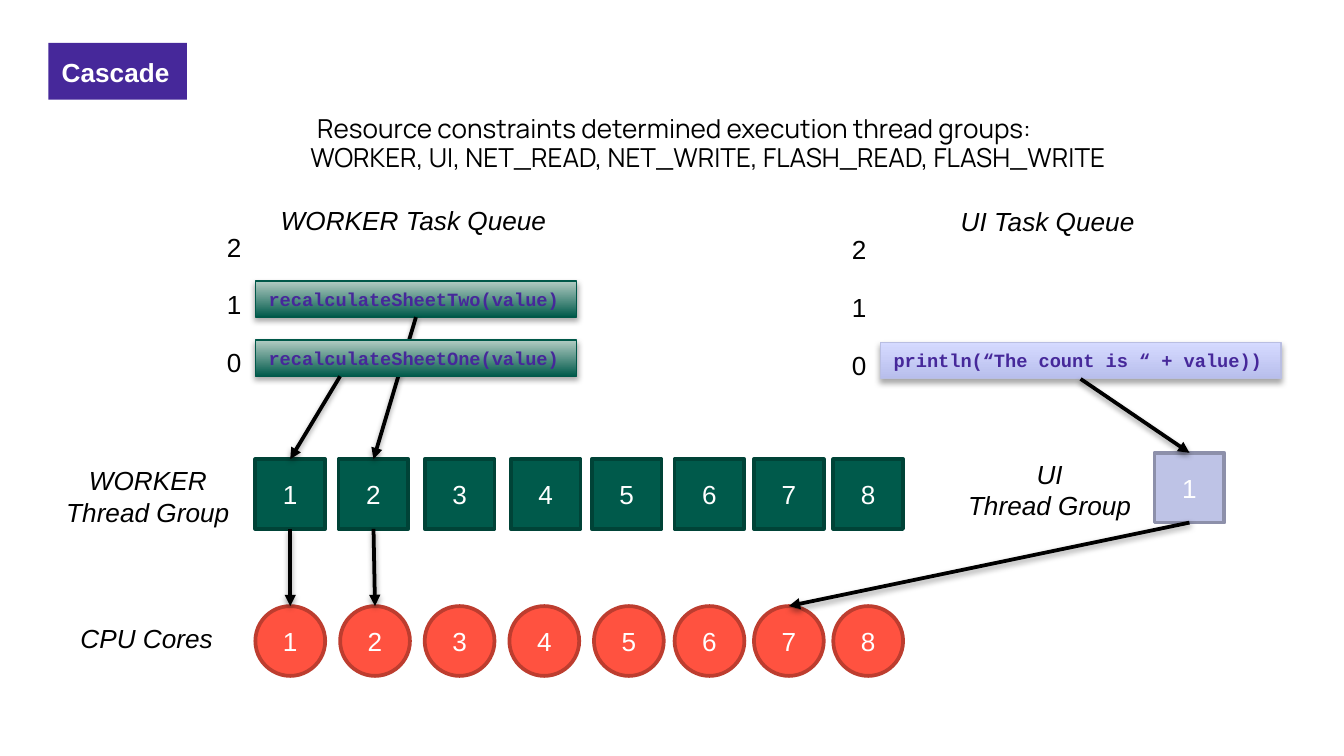
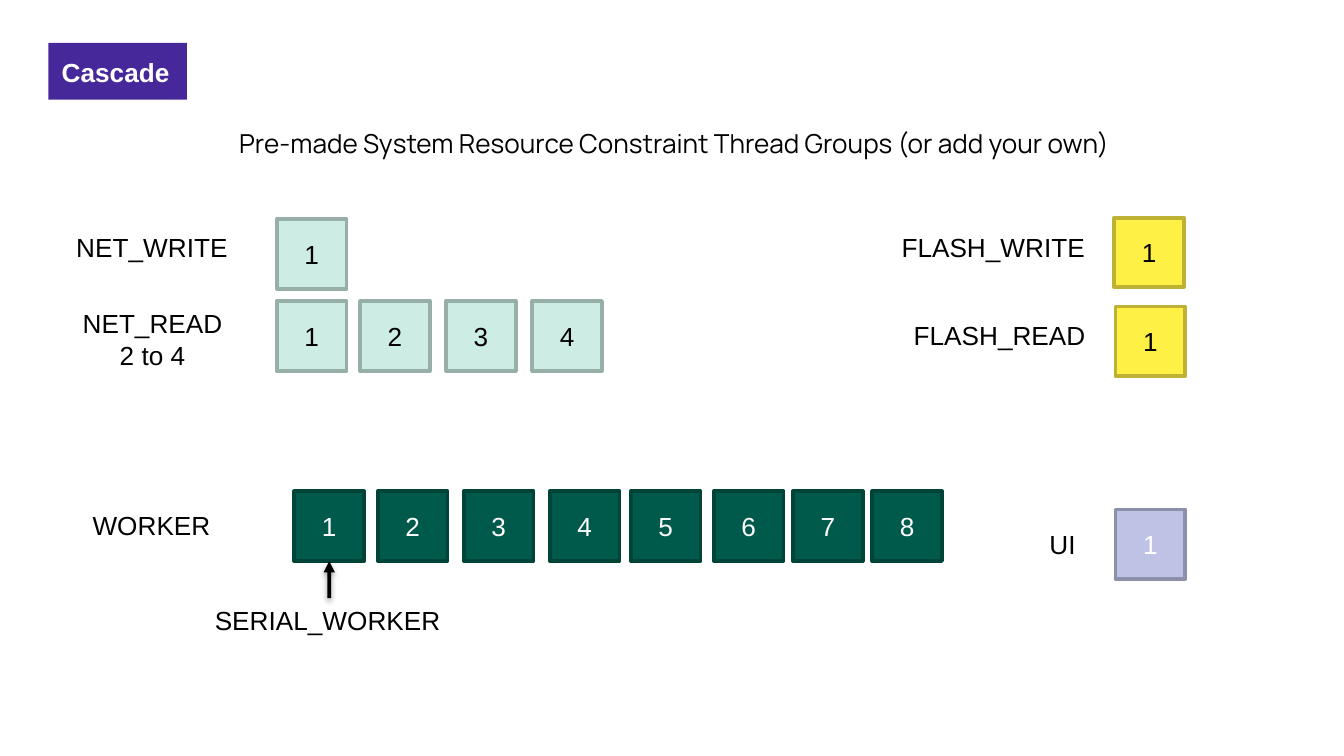
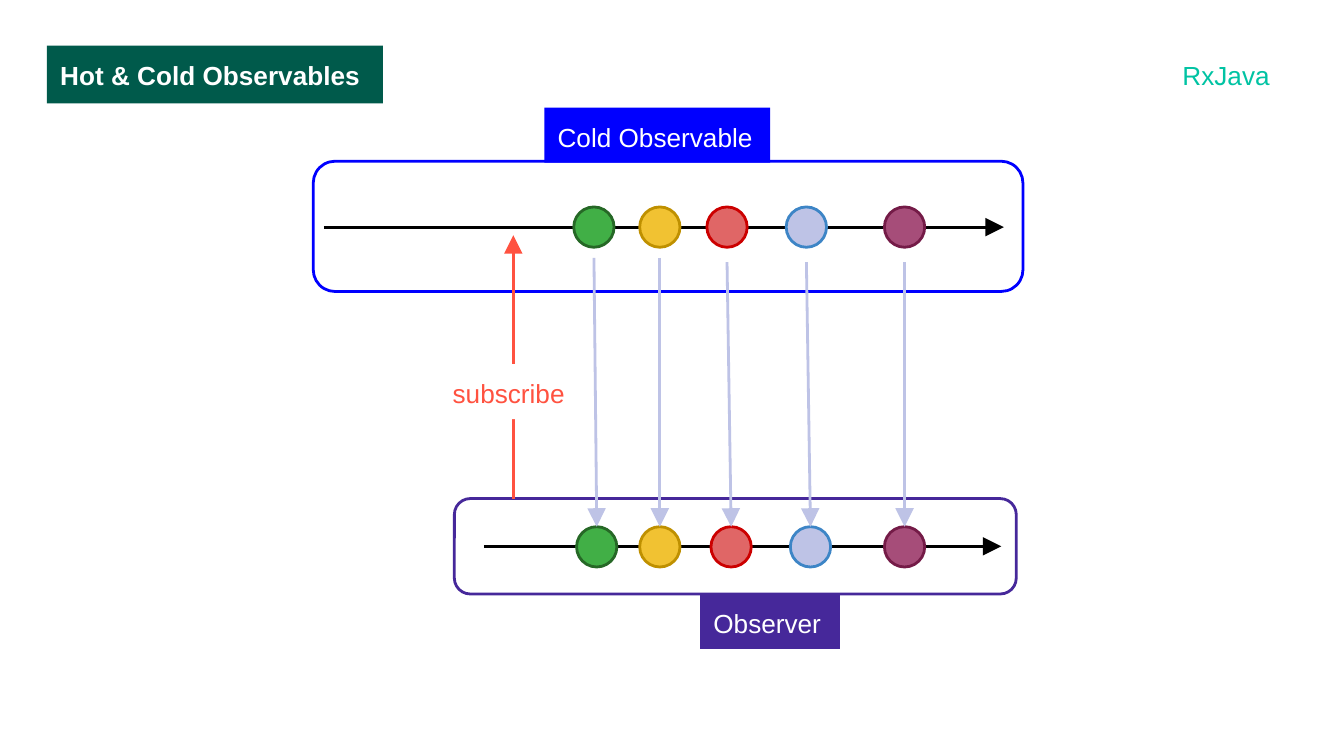
"""Build three slides on thread groups and on cold observables."""
from copy import deepcopy

from lxml.etree import SubElement
from pptx import Presentation
from pptx.dml.color import RGBColor
from pptx.enum.shapes import MSO_CONNECTOR, MSO_SHAPE as Preset
from pptx.enum.text import MSO_ANCHOR as Anchor, MSO_AUTO_SIZE as Fit, PP_ALIGN as Align
from pptx.oxml.ns import qn
from pptx.util import Pt

BLACK = RGBColor(0x00, 0x00, 0x00)
WHITE = RGBColor(0xFF, 0xFF, 0xFF)
PURPLE = RGBColor(0x46, 0x28, 0x9A)
GREEN = RGBColor(0x00, 0x5A, 0x4B)
BLUE = RGBColor(0x00, 0x00, 0xFF)
CORAL = RGBColor(0xFF, 0x52, 0x40)
LILAC = RGBColor(0xBE, 0xC3, 0xE6)
TEAL = RGBColor(0x00, 0xC3, 0xA3)

CORE_LOOK = (CORAL, RGBColor(0xBD, 0x3D, 0x2F), WHITE)
WORKER_LOOK = (GREEN, RGBColor(0x00, 0x43, 0x37), WHITE)
UI_LOOK = (LILAC, RGBColor(0x8D, 0x90, 0xAA), WHITE)
NET_LOOK = (RGBColor(0xCD, 0xEC, 0xE4), RGBColor(0x98, 0xAF, 0xA9), BLACK)
FLASH_LOOK = (RGBColor(0xFF, 0xF0, 0x46), RGBColor(0xBD, 0xB2, 0x34), BLACK)
WORKER_TASK_LOOK = (GREEN, RGBColor(0xB4, 0xCD, 0xC4), RGBColor(0x00, 0x58, 0x49))
UI_TASK_LOOK = (RGBColor(0xB8, 0xBE, 0xEC), RGBColor(0xD5, 0xDA, 0xFF), RGBColor(0xB9, 0xBE, 0xE2))

CASCADE_BAND = (26, 23, 74.2, 30.5)
TITLE_AREA = (40.3, 38.2, 642.2, 78.5)
CELL = 37.4
THREAD_STEPS = (0, 44.6, 90.7, 136.8, 180.2, 224.6, 267.1, 309.6)
CORE_STEPS = (0, 45.4, 90.7, 136.1, 181.4, 224.6, 267.1, 309.6)
LABEL_HEIGHT = 24.2
LEVEL_GAP = 31
TASK_HEIGHT = 19.4

QUEUE_TITLE = "Resource constraints determined execution thread groups:\v\tWORKER, UI, NET_READ, NET_WRITE, FLASH_READ, FLASH_WRITE"
QUEUE_LABELS = [
    ("WORKER Task Queue", 143.3, 105.8, 159.1),
    ("UI Task Queue", 507.6, 106.6, 109.4),
    ("WORKER\nThread Group", 28.1, 245.5, 102.2),
    ("UI\nThread Group", 511.2, 241.9, 102.2),
    ("CPU Cores", 36, 329.8, 85.7),
]
QUEUE_LEVELS = [(114.5, 182.2), (449.3, 183.6)]
SHEET_ONE = ("recalculateSheetOne(value)", 136.8, 182.2, 172.1, WORKER_TASK_LOOK)
SHEET_TWO = ("recalculateSheetTwo(value)", 136.8, 150.5, 172.1, WORKER_TASK_LOOK)
PRINT_COUNT = ("println(“The count is “ + value))", 471.6, 183.6, 214.6, UI_TASK_LOOK)

GROUP_TITLE = "Pre-made System Resource Constraint Thread Groups (or add your own)"
GROUPS = [
    ("NET_WRITE", 33.8, 120.2, 96.5, 148.3, 117.4, 1, NET_LOOK),
    ("NET_READ\n2 to 4", 36.7, 161.3, 90, 148.3, 161.3, 4, NET_LOOK),
    ("FLASH_WRITE", 475.9, 120.2, 113.8, 596.9, 116.6, 1, FLASH_LOOK),
    ("FLASH_READ", 482.4, 167.8, 107.3, 597.6, 164.2, 1, FLASH_LOOK),
    ("UI", 555.1, 279.4, 28.8, 597.6, 272.9, 1, UI_LOOK),
    ("WORKER", 42.5, 269.3, 78.5, 157.7, 263.2, 8, WORKER_LOOK),
]
SERIAL_LABEL = ("SERIAL_WORKER", 108, 320.4, 136.8)

MARBLE = 21.6
MARBLES = [
    (307.4, 308.9, 138.2, RGBColor(0x41, 0xAF, 0x46), RGBColor(0x26, 0x68, 0x26)),
    (342.7, 342.7, 138.2, RGBColor(0xF1, 0xC2, 0x32), RGBColor(0xBF, 0x90, 0x00)),
    (378.7, 380.9, 140.4, RGBColor(0xE0, 0x66, 0x66), RGBColor(0xCC, 0x00, 0x00)),
    (421.2, 423.4, 140.4, LILAC, RGBColor(0x3D, 0x85, 0xC6)),
    (473.8, 473.8, 140.4, RGBColor(0xA6, 0x4D, 0x79), RGBColor(0x74, 0x1B, 0x47)),
]
COLD_TOP, OBSERVER_TOP = 110.9, 282.2
STREAMS = [
    ((167.8, 86.4, 380.2, 69.8), BLUE, (173.5, 121.7), (537.8, 121.7)),
    ((243.4, 267.1, 301, 51.1), PURPLE, (259.2, 292.7), (536.4, 292.7)),
]
STREAM_BANDS = [
    ("Hot & Cold Observables", (25.2, 24.5, 180, 31), GREEN, WHITE, True),
    ("Cold Observable", (291.6, 57.6, 121, 29.5), BLUE, WHITE, False),
    ("Observer", (375.1, 318.2, 74.9, 29.5), PURPLE, WHITE, False),
    ("subscribe", (235.4, 195.1, 78.5, 29.5), WHITE, CORAL, False),
]


def set_all(target, values):
    """Set each named attribute of the target."""
    for name, value in values.items():
        setattr(target, name, value)


def write(shape, text, color=BLACK, align=Align.LEFT, font=None, frame=None):
    """Write text with one look into a shape."""
    text_frame = shape.text_frame
    set_all(text_frame, {"word_wrap": True, "vertical_anchor": Anchor.TOP} | (frame or {}))
    text_frame.text = text
    for paragraph in text_frame.paragraphs:
        paragraph.alignment = align
        for run in paragraph.runs:
            set_all(run.font, {"name": "Arial", "size": Pt(14)} | (font or {}))
            run.font.color.rgb = color
        for line_break in paragraph._p.findall(qn("a:br")):
            line_break.append(deepcopy(paragraph.runs[0]._r.rPr))


def margins(size):
    """Return equal margins for all sides of a text frame."""
    return {f"margin_{side}": Pt(size) for side in ("left", "top", "right", "bottom")}


def cast_shadow(effects, opacity, distance):
    """Add a soft shadow that falls straight down."""
    shadow = SubElement(effects, qn("a:outerShdw"), blurRad=str(Pt(3.1)), dist=str(Pt(distance)),
                        dir="5400000", algn="ctr", rotWithShape="0")
    SubElement(SubElement(shadow, qn("a:srgbClr"), val=str(BLACK)), qn("a:alpha"), val=str(opacity * 1000))


def add_figure(slide, preset, at, fill=None, outline=None, width=1.5):
    """Add a flat shape with an optional fill and outline."""
    figure = slide.shapes.add_shape(preset, *map(Pt, at))
    figure.shadow.inherit = False
    for part, color in ((figure.fill, fill), (figure.line.fill, outline)):
        if color is None:
            part.background()
        else:
            part.solid()
            part.fore_color.rgb = color
    if outline is not None:
        figure.line.width = Pt(width)
    return figure


def add_band(slide, text, at, fill, color=WHITE, bold=True):
    """Add a coloured band with text."""
    write(add_figure(slide, Preset.RECTANGLE, at, fill), text, color, font={"bold": bold}, frame=margins(7.2))


def add_label(slide, text, left, top, width, color=BLACK, italic=False):
    """Add a label that grows with its text."""
    lines = text.count("\n") + 1
    label = slide.shapes.add_textbox(Pt(left), Pt(top), Pt(width), Pt(LABEL_HEIGHT + 16.8 * (lines - 1)))
    write(label, text, color, Align.CENTER if lines > 1 else Align.LEFT, {"italic": italic},
          {"word_wrap": False, "auto_size": Fit.SHAPE_TO_FIT_TEXT})
    return label


def add_title(slide, text):
    """Add the Cascade band and the centred slide title."""
    add_band(slide, "Cascade", CASCADE_BAND, PURPLE)
    title = slide.shapes.add_textbox(*map(Pt, TITLE_AREA))
    write(title, text, align=Align.CENTER, font={"name": "Manrope"},
          frame={"vertical_anchor": Anchor.MIDDLE} | margins(7.2))
    title.text_frame.paragraphs[0].line_spacing = 0.9


def add_cells(slide, left, top, steps, look, preset=Preset.RECTANGLE):
    """Add a row of numbered cells and return them."""
    fill, outline, color = look
    cells = []
    for number, step in enumerate(steps, 1):
        cell = add_figure(slide, preset, (left + step, top, CELL, CELL), fill, outline, 2)
        write(cell, str(number), color, Align.CENTER, frame={"vertical_anchor": Anchor.MIDDLE})
        cells.append(cell)
    return cells


def add_task(slide, code, left, top, width, look):
    """Add a queued task with a gradient and a shadow."""
    low, high, outline = look
    task = add_figure(slide, Preset.RECTANGLE, (left, top, width, TASK_HEIGHT), low, outline, 0.75)
    task.fill.gradient()
    task.fill.gradient_angle = 90
    for stop, color in zip(task.fill.gradient_stops, (low, high)):
        stop.color.rgb = color
    cast_shadow(task._element.spPr.find(qn("a:effectLst")), 35, 1.8)
    write(task, code, PURPLE, font={"name": "Courier New", "size": Pt(10), "bold": True},
          frame={"word_wrap": False, "auto_size": Fit.SHAPE_TO_FIT_TEXT})
    return task


def add_arrow(slide, start=(0, 0), end=(0, 0), source=None, target=None, target_side=0,
              source_side=2, color=BLACK, width=1.5, head="lg"):
    """Add an arrow between points or joined shapes."""
    arrow = slide.shapes.add_connector(MSO_CONNECTOR.STRAIGHT, *map(Pt, start + end))
    if source is not None:
        arrow.begin_connect(source, source_side)
    if target is not None:
        arrow.end_connect(target, target_side)
    arrow.line.color.rgb = color
    arrow.line.width = Pt(width)
    properties = arrow._element.spPr
    SubElement(properties.find(qn("a:ln")), qn("a:tailEnd"), type="triangle", w=head, len=head)
    return SubElement(properties, qn("a:effectLst"))


def add_flow(slide, **ends):
    """Add a thick arrow with a shadow."""
    cast_shadow(add_arrow(slide, width=2, head="med", **ends), 38, 1.6)


def build_queues(slide):
    """Show how tasks reach threads and cores."""
    add_title(slide, QUEUE_TITLE)
    cores = add_cells(slide, 136.8, 324.7, CORE_STEPS, CORE_LOOK, Preset.OVAL)
    workers = add_cells(slide, 136.8, 246, THREAD_STEPS, WORKER_LOOK)
    ui_thread, = add_cells(slide, 618.5, 242.6, (0,), UI_LOOK)
    sheet_two = add_task(slide, *SHEET_TWO)
    add_flow(slide, source=sheet_two, target=workers[1])
    add_task(slide, *SHEET_ONE)
    print_count = add_task(slide, *PRINT_COUNT)
    for label in QUEUE_LABELS:
        add_label(slide, *label, italic=True)
    for left, bottom in QUEUE_LEVELS:
        for level in range(3):
            add_label(slide, str(level), left, bottom - level * LEVEL_GAP, 22.3)
    add_flow(slide, start=(182.2, 201.6), target=workers[0])
    for source, target in ((print_count, ui_thread), (ui_thread, cores[6]),
                           (workers[1], cores[1]), (workers[0], cores[0])):
        add_flow(slide, source=source, target=target)


def build_groups(slide):
    """Show the ready-made thread groups."""
    add_title(slide, GROUP_TITLE)
    for name, label_left, label_top, label_width, left, top, count, look in GROUPS:
        add_label(slide, name, label_left, label_top, label_width)
        cells = add_cells(slide, left, top, THREAD_STEPS[:count], look)
        if name == "WORKER":
            serial = add_label(slide, *SERIAL_LABEL)
            add_flow(slide, source=serial, source_side=0, target=cells[0], target_side=2)


def build_streams(slide):
    """Show a cold observable sending items to its observer."""
    for frame, color, start, end in STREAMS:
        add_figure(slide, Preset.ROUNDED_RECTANGLE, frame, outline=color)
        add_arrow(slide, start, end)
    for cold_left, observer_left, arrow_top, fill, outline in MARBLES:
        cold, received = [
            add_figure(slide, Preset.OVAL, (left, top, MARBLE, MARBLE), fill, outline)
            for left, top in ((cold_left, COLD_TOP), (observer_left, OBSERVER_TOP))
        ]
        add_arrow(slide, (cold_left + MARBLE / 2, arrow_top), target=received, color=LILAC)
    add_arrow(slide, (275, 267.1), (275, 126), color=CORAL)
    for band in STREAM_BANDS:
        add_band(slide, *band)
    add_label(slide, "RxJava", 626.4, 28.1, 61.9, TEAL)


def main():
    """Build and save the deck."""
    deck = Presentation()
    set_all(deck, {"slide_width": Pt(720), "slide_height": Pt(405)})
    for build in (build_queues, build_groups, build_streams):
        build(deck.slides.add_slide(deck.slide_layouts[6]))
    deck.save("out.pptx")


if __name__ == "__main__":
    main()
